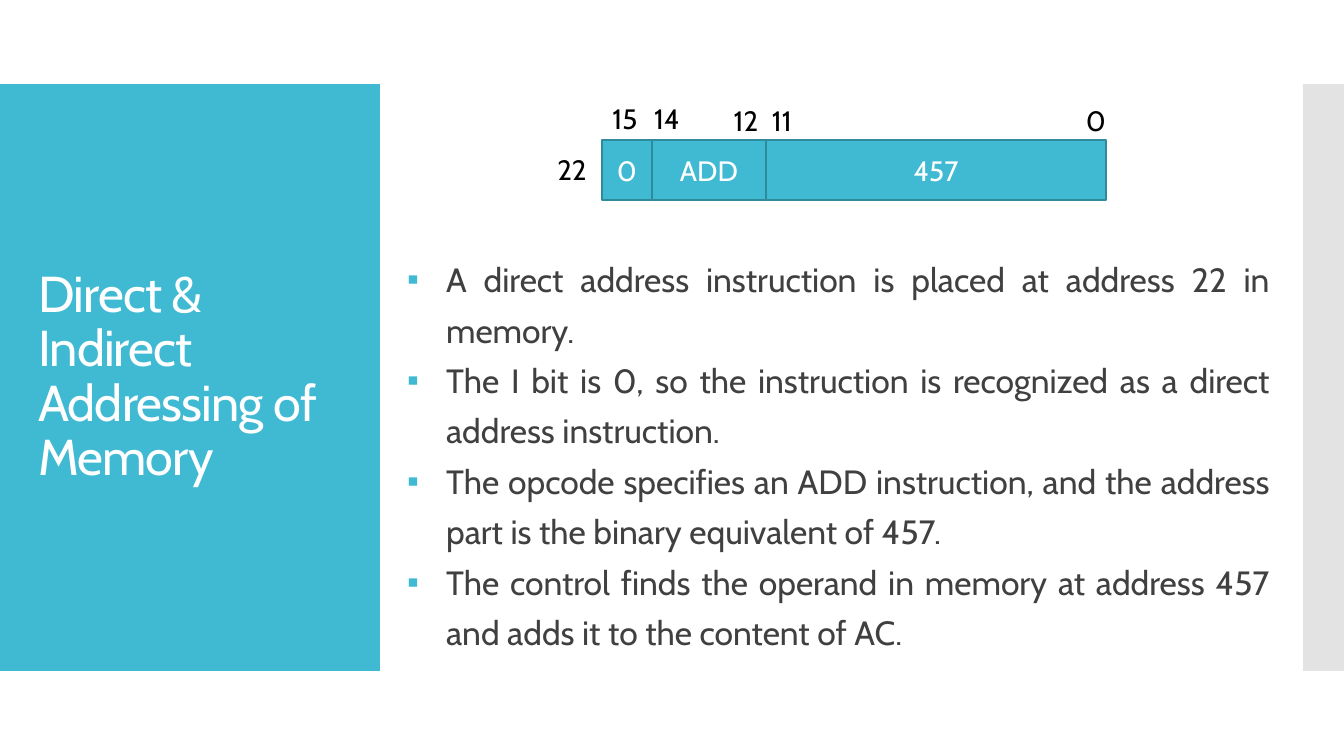
from lxml import etree
from pptx import Presentation
from pptx.dml.color import RGBColor
from pptx.enum.shapes import MSO_SHAPE
from pptx.enum.text import MSO_ANCHOR, MSO_AUTO_SIZE, PP_ALIGN
from pptx.oxml.ns import qn
from pptx.util import Pt

TITLE = "Direct & Indirect Addressing of Memory"
POINTS = [
    "A direct address instruction is placed at address 22 in memory.",
    "The I bit is 0, so the instruction is recognized as a direct address instruction.",
    "The opcode specifies an ADD instruction, and the address part is the binary equivalent of 457.",
    "The control finds the operand in memory at address 457 and adds it to the content of AC.",
]
FIELDS = [("0", 50), ("ADD", 114), ("457", 340)]  # text, width
# text, left, top, width
LABELS = [
    ("15", 600, 97, 50), ("14", 640, 97, 54), ("12", 719, 99, 54),
    ("11", 757, 99, 50), ("0", 1076, 99, 30), ("22", 547, 148, 50),
]
COLORS = {"accent": "40BAD2", "edge": "2F8A9B", "side": "C8C8C8",
          "body": "404040", "white": "FFFFFF", "black": "000000"}
FONT = "Cabin"
EMU_PER_PX = 914400 / 100.8
WORD_LEFT, WORD_TOP, WORD_HEIGHT = 602, 140, 60
LABEL_HEIGHT = 44
BULLET_INDENT = 39


def px(value):
    return round(value * EMU_PER_PX)


def rgb(name):
    return RGBColor.from_string(COLORS[name])


def style(paragraph, size, color, align):
    paragraph.alignment = align
    for run in paragraph.runs:
        run.font.size = Pt(size)
        run.font.name = FONT
        run.font.color.rgb = rgb(color)


def place(shape, *box):
    shape.left, shape.top, shape.width, shape.height = map(px, box)


def add_rect(box, fill):
    rect = slide.shapes.add_shape(MSO_SHAPE.RECTANGLE, *map(px, box))
    rect.shadow.inherit = False
    rect.fill.solid()
    rect.fill.fore_color.rgb = rgb(fill)
    rect.line.fill.background()
    return rect


def add_bullet(paragraph):
    properties = paragraph._p.get_or_add_pPr()
    properties.set("marL", str(px(BULLET_INDENT)))
    properties.set("indent", str(-px(BULLET_INDENT)))
    bullet_color = etree.SubElement(properties, qn("a:buClr"))
    etree.SubElement(bullet_color, qn("a:srgbClr"), val=COLORS["accent"])
    etree.SubElement(properties, qn("a:buChar"), char="▪")


prs = Presentation()
prs.slide_width, prs.slide_height = px(1344), px(756)
slide = prs.slides.add_slide(prs.slide_layouts[1])
title, body = slide.placeholders

# Side panels, behind the placeholders
panel = add_rect((0, 84, 380, 587), "accent")
strip = add_rect((1303, 84, 41, 587), "side")
strip_color = strip.fill._xPr.find(qn("a:solidFill"))[0]
etree.SubElement(strip_color, qn("a:alpha"), val="50000")
for position, shape in enumerate((panel, strip), start=2):
    slide.shapes._spTree.insert(position, shape._element)

# Title
place(title, 28, 124, 325, 507)
title.text_frame.text = TITLE
title.text_frame.auto_size = MSO_AUTO_SIZE.NONE
title.text_frame.vertical_anchor = MSO_ANCHOR.MIDDLE
heading = title.text_frame.paragraphs[0]
heading.line_spacing = 0.9
style(heading, 36, "white", PP_ALIGN.LEFT)
heading.runs[0].font._element.set("spc", "-60")

# Explanation
place(body, 397, 244, 883, 416)
body.text_frame.text = "\n".join(POINTS)
body.text_frame.auto_size = MSO_AUTO_SIZE.NONE
for point in body.text_frame.paragraphs:
    add_bullet(point)
    point.line_spacing = 1.25
    point.space_before = Pt(0)
    style(point, 24, "body", PP_ALIGN.JUSTIFY)

# Instruction word
field_left = WORD_LEFT
for text, width in FIELDS:
    field = add_rect((field_left, WORD_TOP, width, WORD_HEIGHT), "accent")
    field.line.color.rgb = rgb("edge")
    field.line.width = Pt(0.85)
    field.text_frame.text = text
    field.text_frame.vertical_anchor = MSO_ANCHOR.MIDDLE
    style(field.text_frame.paragraphs[0], 20, "white", PP_ALIGN.CENTER)
    field_left += width

# Bit numbers and memory address
for text, left, top, width in LABELS:
    label = slide.shapes.add_textbox(*map(px, (left, top, width, LABEL_HEIGHT)))
    label.text_frame.word_wrap = True
    label.text_frame.text = text
    style(label.text_frame.paragraphs[0], 20, "black", PP_ALIGN.CENTER)

prs.save("out.pptx")
